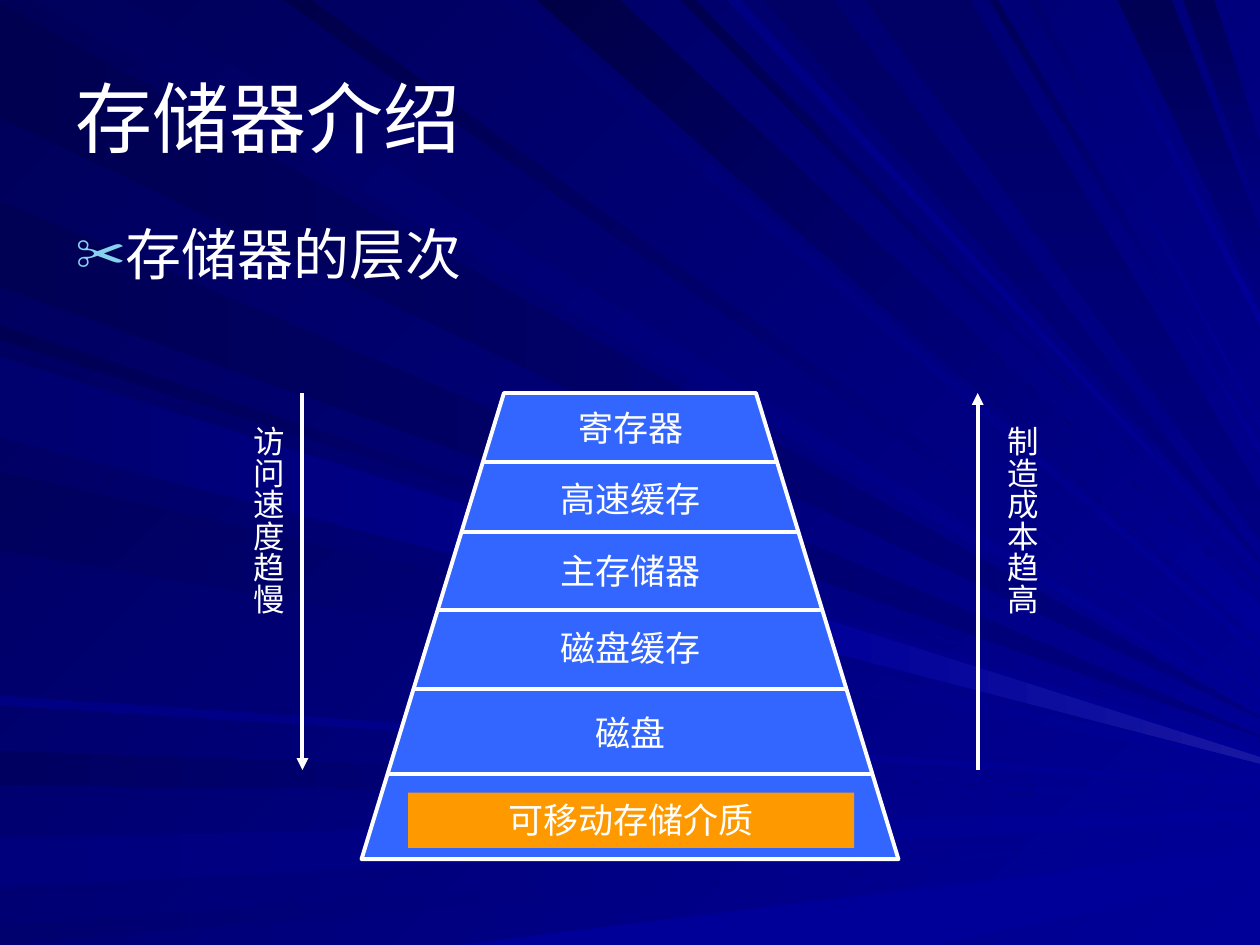
from dataclasses import dataclass
from typing import Optional

from lxml.etree import SubElement
from pptx import Presentation
from pptx.dml.color import RGBColor
from pptx.enum.shapes import MSO_CONNECTOR, MSO_SHAPE
from pptx.enum.text import MSO_ANCHOR, MSO_AUTO_SIZE, PP_ALIGN
from pptx.oxml.ns import qn
from pptx.util import Pt

FONT = "Arial"
WIDTH, HEIGHT = 720, 540
BLUES = "47 4A 4F 51 53 55 58 59 5D 61 65 6B 6F 79 7D 80 82 99"
COLORS = {
    "white": "FFFFFF",
    "level": "3366FF",
    "media": "FF9900",
    "bullet": "86D1EC",
    "glint": "1717A2",
    **{f"b{n}": f"0000{n}" for n in BLUES.split()},
}


@dataclass
class Ray:
    edge: str
    near: tuple[float, float]
    far: tuple[float, float]
    start: str
    end: str = "b99"
    angle: int = 45
    split: float = 1


@dataclass
class Level:
    text: str
    top: float
    bottom: float


@dataclass
class Trend:
    text: str
    left: float
    x: float
    y1: float
    y2: float


RAYS = [
    Ray("left", (1.4, 67), (409.7, 410.4), "b51", "b80", 0),
    Ray("top", (18.7, 72.7), (405.4, 404.6), "b5D"),
    Ray("left", (429, 448.6), (454.3, 455), "b61", angle=0),
    Ray("left", (478.8, 507), (463, 468.7), "b7D", angle=0),
    Ray("left", (529, 540), (476, 477), "b6F", angle=0),
    Ray("bottom", (262, 535), (484, 500), "b99"),
    Ray("left", (185.8, 194.4), (423.5, 424.1), "b53"),
    Ray("left", (114.5, 164), (420.5, 421.2), "b55", "b80", 0),
    Ray("top", (286.6, 299.5), (375, 371), "b6B"),
    Ray("top", (306.7, 354.2), (365, 345), "b47"),
    Ray("top", (388.8, 397.4), (333.4, 333.2), "b4F"),
    Ray("top", (436.3, 475.9), (321, 320.4), "b65", "b80", 90),
    Ray("top", (638.6, 669.6), (170.6, 131.8), "b55", "b80", 90),
    Ray("top", (676, 694), (120, 82), "b59", "b80", 90),
    Ray("left", (200, 246), (429, 433.4), "b61"),
    Ray("left", (269.3, 314.6), (435.6, 436.3), "b5D"),
    Ray("left", (397.4, 403.2), (447, 448.6), "b82", angle=0),
    Ray("top", (162, 177.8), (397.4, 393.8), "b4A"),
    Ray("top", (415.4, 423.4), (327, 326.2), "b82"),
    Ray("top", (494, 554.4), (308, 281), "b65", "b80", 90),
    Ray("top", (565.2, 570.2), (259, 255), "b58"),
    Ray("top", (586.8, 593.3), (242, 241), "b6F"),
    Ray("top", (622.8, 627.8), (186, 179), "b79"),
    Ray("left", (203.8, 249.8), (432.7, 436.3), "b6F", angle=0, split=0.63),
]

TOP, BASE = 224.6, 491
TOP_LEFT, TOP_RIGHT = 288, 432
FLARE = 81.4
LEVELS = [
    Level("寄存器", 229, 264.2),
    Level("高速缓存", 269.3, 303.8),
    Level("主存储器", 310.3, 348.5),
    Level("磁盘缓存", 354.2, 393.8),
    Level("磁盘", 403.2, 442.1),
]
TRENDS = [
    Trend("访问速度趋慢", 131.8, 172.8, TOP, 440),
    Trend("制造成本趋高", 562.3, 558.7, 440, TOP),
]


def rgb(name: str) -> RGBColor:
    return RGBColor.from_string(COLORS[name])


def paint(fill, start: str, end: Optional[str] = None, angle: int = 0) -> None:
    if end in (None, start):
        fill.solid()
        fill.fore_color.rgb = rgb(start)
        return
    fill.gradient()
    fill.gradient_angle = 360 - angle
    for stop, name in zip(fill.gradient_stops, (start, end)):
        stop.color.rgb = rgb(name)


def draw_outline(slide, points: list[tuple[float, float]]):
    (x, y), *rest = [(Pt(px), Pt(py)) for px, py in points]
    builder = slide.shapes.build_freeform(x, y)
    builder.add_line_segments(rest, close=True)
    sp = builder.convert_to_shape()
    sp.shadow.inherit = False
    return sp


def draw_ray(slide, ray: Ray) -> None:
    def at(i: int, t: float) -> tuple[float, float]:
        edges = {"left": (0, ray.near[i]), "top": (ray.near[i], 0), "bottom": (ray.near[i], HEIGHT)}
        x, y = edges[ray.edge]
        return x + (WIDTH - x) * t, y + (ray.far[i] - y) * t

    parts = [(0, ray.split, ray.start, ray.end)]
    if ray.split < 1:
        parts.append((ray.split, 1, ray.end, "glint"))
    for t1, t2, start, end in parts:
        sp = draw_outline(slide, [at(0, t1), at(0, t2), at(1, t2), at(1, t1)])
        paint(sp.fill, start, end, ray.angle)
        sp.line.fill.background()


def draw_line(slide, x1: float, y1: float, x2: float, y2: float, arrow: bool = False) -> None:
    cxn = slide.shapes.add_connector(MSO_CONNECTOR.STRAIGHT, Pt(x1), Pt(y1), Pt(x2), Pt(y2))
    cxn.line.color.rgb = rgb("white")
    cxn.line.width = Pt(2.25)
    if arrow:
        SubElement(cxn.line._get_or_add_ln(), qn("a:tailEnd"), type="triangle")
    SubElement(cxn._element.spPr, qn("a:effectLst"))


def write(sp, text: str, *, size: float, align=PP_ALIGN.CENTER, anchor=MSO_ANCHOR.TOP,
          fit=MSO_AUTO_SIZE.SHAPE_TO_FIT_TEXT, vertical: bool = False):
    tf = sp.text_frame
    tf.word_wrap = True
    tf.auto_size = fit
    tf.vertical_anchor = anchor
    if vertical:
        tf.margin_left = tf.margin_right = Pt(3.6)
        tf.margin_top = tf.margin_bottom = Pt(7.2)
        tf._txBody.bodyPr.set("vert", "eaVert")
    p = tf.paragraphs[0]
    p.alignment = align
    p.space_before = Pt(0)
    r = p.add_run()
    r.text = text
    r.font.name = FONT
    r.font.size = Pt(size)
    r.font.color.rgb = rgb("white")
    return p


def place(sp, left: float, top: float, width: float, height: float) -> None:
    sp.left, sp.top, sp.width, sp.height = Pt(left), Pt(top), Pt(width), Pt(height)


def add_bullet(p, char: str) -> None:
    pPr = p._p.get_or_add_pPr()
    pPr.set("marL", str(Pt(27)))
    pPr.set("indent", str(-Pt(27)))
    SubElement(SubElement(pPr, qn("a:buClr")), qn("a:srgbClr"), val=COLORS["bullet"])
    SubElement(pPr, qn("a:buSzPct"), val="90000")
    SubElement(pPr, qn("a:buFont"), typeface=FONT)
    SubElement(pPr, qn("a:buChar"), char=char)


def draw_headings(slide) -> None:
    title, body = slide.placeholders
    place(title, 36, 21.6, 648, 90)
    place(body, 36, 126, 648, 41.8)
    style = {"align": PP_ALIGN.LEFT, "fit": MSO_AUTO_SIZE.NONE}
    write(title, "存储器介绍", size=44, anchor=MSO_ANCHOR.MIDDLE, **style)
    p = write(body, "存储器的层次", size=32, **style)
    p.line_spacing = 0.9
    add_bullet(p, "✂")
    for sp in (title, body):
        slide.shapes._spTree.append(sp._element)


def draw_pyramid(slide) -> None:
    sp = draw_outline(slide, [(TOP_LEFT - FLARE, BASE), (TOP_LEFT, TOP),
                              (TOP_RIGHT, TOP), (TOP_RIGHT + FLARE, BASE)])
    paint(sp.fill, "level")
    sp.line.color.rgb = rgb("white")
    sp.line.width = Pt(2.25)
    for level in LEVELS:
        spread = FLARE * (level.bottom - TOP) / (BASE - TOP)
        draw_line(slide, TOP_LEFT - spread, level.bottom, TOP_RIGHT + spread, level.bottom)
        box = slide.shapes.add_textbox(Pt(301), Pt(level.top), Pt(118.8), Pt(31.7))
        write(box, level.text, size=20)
    media = slide.shapes.add_shape(MSO_SHAPE.RECTANGLE, Pt(233.3), Pt(452.9), Pt(254.9), Pt(31.7))
    media.shadow.inherit = False
    paint(media.fill, "media")
    media.line.fill.background()
    write(media, "可移动存储介质", size=20)


def draw_trend(slide, trend: Trend) -> None:
    draw_line(slide, trend.x, trend.y1, trend.x, trend.y2, arrow=True)
    box = slide.shapes.add_textbox(Pt(trend.left), Pt(236.2), Pt(36), Pt(181.4))
    write(box, trend.text, size=18, vertical=True)


def main() -> None:
    prs = Presentation()
    prs.slide_width, prs.slide_height = Pt(WIDTH), Pt(HEIGHT)
    slide = prs.slides.add_slide(prs.slide_layouts[1])
    paint(slide.background.fill, "b58", "b99", 45)
    for ray in RAYS:
        draw_ray(slide, ray)
    draw_headings(slide)
    draw_pyramid(slide)
    for trend in TRENDS:
        draw_trend(slide, trend)
    prs.save("out.pptx")


if __name__ == "__main__":
    main()
